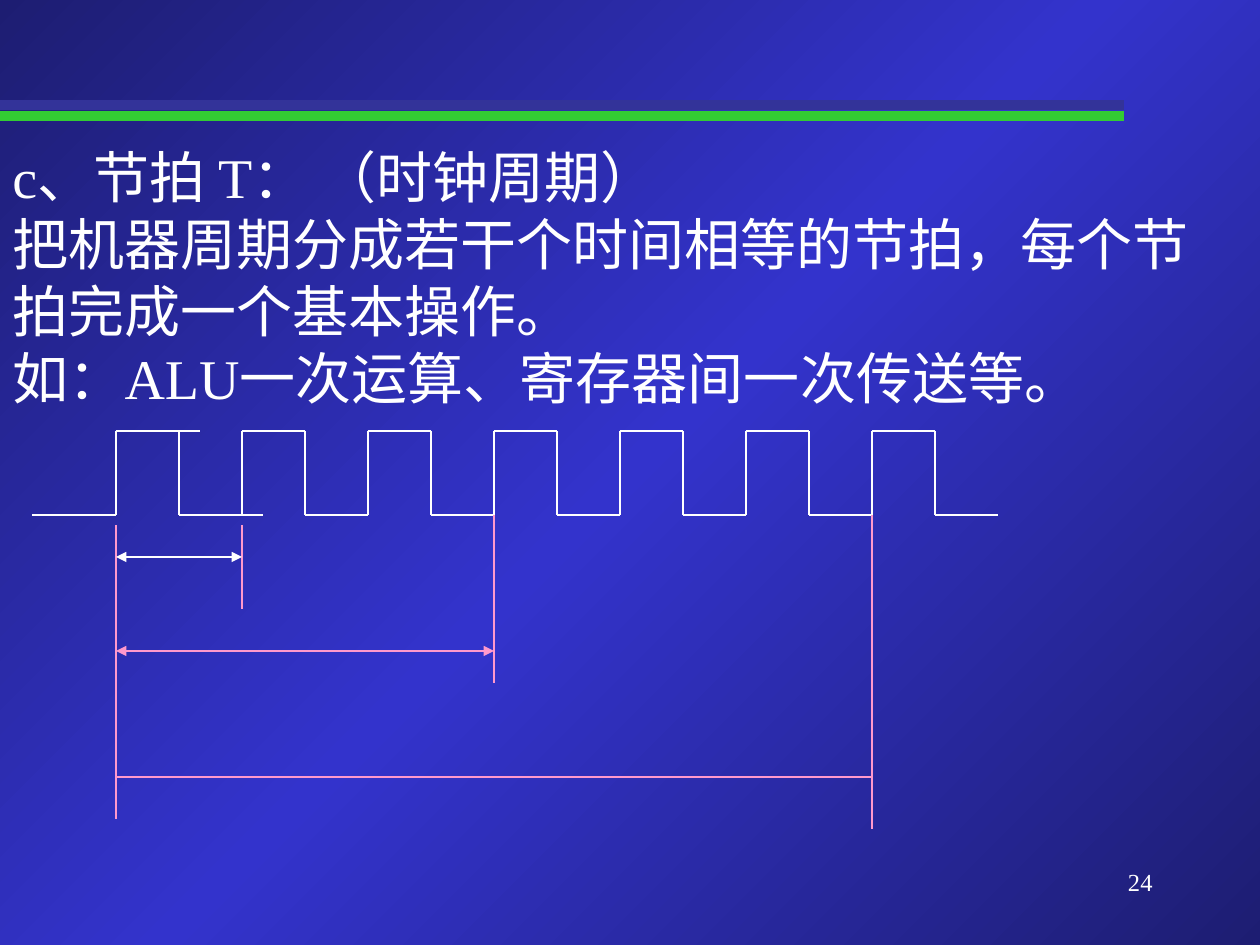
import copy

import lxml.etree
import pptx
import pptx.dml.color
import pptx.enum.shapes
import pptx.enum.text
import pptx.oxml.ns
import pptx.util

PX = 914400 / 126
COLORS = {
    "edge": "1D1D72",
    "middle": "3333CC",
    "green": "33CC33",
    "navy": "333399",
    "white": "FFFFFF",
    "pink": "FF99CC",
}
FONT = "Times New Roman"
LEFT, HALF = 116, 63
PERIOD = 2 * HALF
HIGH, LOW = 431, 515
PULSES = 7

BODY = (
    "c、节拍 T： （时钟周期）\v"
    "把机器周期分成若干个时间相等的节拍，每个节拍完成一个基本操作。\v"
    "如：ALU一次运算、寄存器间一次传送等。"
)


def px(n):
    """Turn pixels into EMU."""
    return pptx.util.Emu(round(n * PX))


def rgb(name):
    """Look up a named colour."""
    return pptx.dml.color.RGBColor.from_string(COLORS[name])


def set_background(s):
    """Fill the slide with a diagonal three-stop gradient."""
    fill = s.background.fill
    fill.gradient()
    fill.gradient_angle = 315
    stops = s._element.find(".//" + pptx.oxml.ns.qn("a:gsLst"))
    stops.append(copy.deepcopy(stops[0]))
    for stop, position, name in zip(
        fill.gradient_stops, (0, 0.5, 1), ("edge", "middle", "edge")
    ):
        stop.position = position
        stop.color.rgb = rgb(name)


def add_line(shapes, start, end, color="white", width=0.75, arrows=False):
    """Draw a straight line, with arrowheads at both ends if wanted."""
    line = shapes.add_connector(
        pptx.enum.shapes.MSO_CONNECTOR.STRAIGHT, *map(px, (*start, *end))
    )
    line.line.color.rgb = rgb(color)
    line.line.width = pptx.util.Pt(width)
    qn = pptx.oxml.ns.qn
    sp_pr = line._element.spPr
    if arrows:
        for tag in ("a:headEnd", "a:tailEnd"):
            lxml.etree.SubElement(sp_pr.find(qn("a:ln")), qn(tag), type="triangle")
    lxml.etree.SubElement(sp_pr, qn("a:effectLst"))


def add_text(s, box, text, size, align, auto_size):
    """Place a wrapped white text box."""
    tf = s.shapes.add_textbox(*map(px, box)).text_frame
    tf.word_wrap = True
    tf.auto_size = auto_size
    p = tf.paragraphs[0]
    p.text = text
    p.alignment = align
    values = {"size": pptx.util.Pt(size), "name": FONT}
    for r in p.runs:
        for key, value in values.items():
            setattr(r.font, key, value)
        r.font.color.rgb = rgb("white")


def add_pulse(s, x):
    """Draw one clock period as a group of four edges."""
    shapes = s.shapes.add_group_shape().shapes
    points = [
        (x, LOW), (x, HIGH), (x + HALF, HIGH), (x + HALF, LOW), (x + PERIOD, LOW)
    ]
    for start, end in zip(points, points[1:]):
        add_line(shapes, start, end)


def add_clock(s):
    """Draw the clock wave with its lead-in lines."""
    for x, y in ((32, LOW), (LEFT, HIGH), (LEFT + HALF, LOW)):
        add_line(s.shapes, (x, y), (x + 84, y))
    for i in range(PULSES):
        add_pulse(s, LEFT + i * PERIOD)


def add_spans(s):
    """Mark the spans of one, three and six clock periods."""
    for periods, top, bottom in (
        (0, 525, 609), (1, 525, 609), (0, 567, 819),
        (3, LOW, 683), (6, LOW, 788), (6, 714, 829),
    ):
        x = LEFT + periods * PERIOD
        add_line(s.shapes, (x, top), (x, bottom), "pink")
    for periods, y, color, arrows in (
        (1, 557, "white", True), (3, 651, "pink", True), (6, 777, "pink", False)
    ):
        end = (LEFT + periods * PERIOD, y)
        add_line(s.shapes, (LEFT, y), end, color, arrows=arrows)


def main():
    """Build and save the slide."""
    prs = pptx.Presentation()
    prs.slide_width, prs.slide_height = px(1260), px(945)
    s = prs.slides.add_slide(prs.slide_layouts[6])
    set_background(s)
    for y, color in ((116, "green"), (105, "navy")):
        add_line(s.shapes, (0, y), (1124, y), color, 5.5)
    align, fit = pptx.enum.text.PP_ALIGN, pptx.enum.text.MSO_AUTO_SIZE
    add_text(s, (903, 861, 262, 63), "24", 14, align.RIGHT, fit.NONE)
    add_text(s, (0, 136, 1218, 281), BODY, 32, align.LEFT, fit.SHAPE_TO_FIT_TEXT)
    add_clock(s)
    add_spans(s)
    prs.save("out.pptx")


if __name__ == "__main__":
    main()
